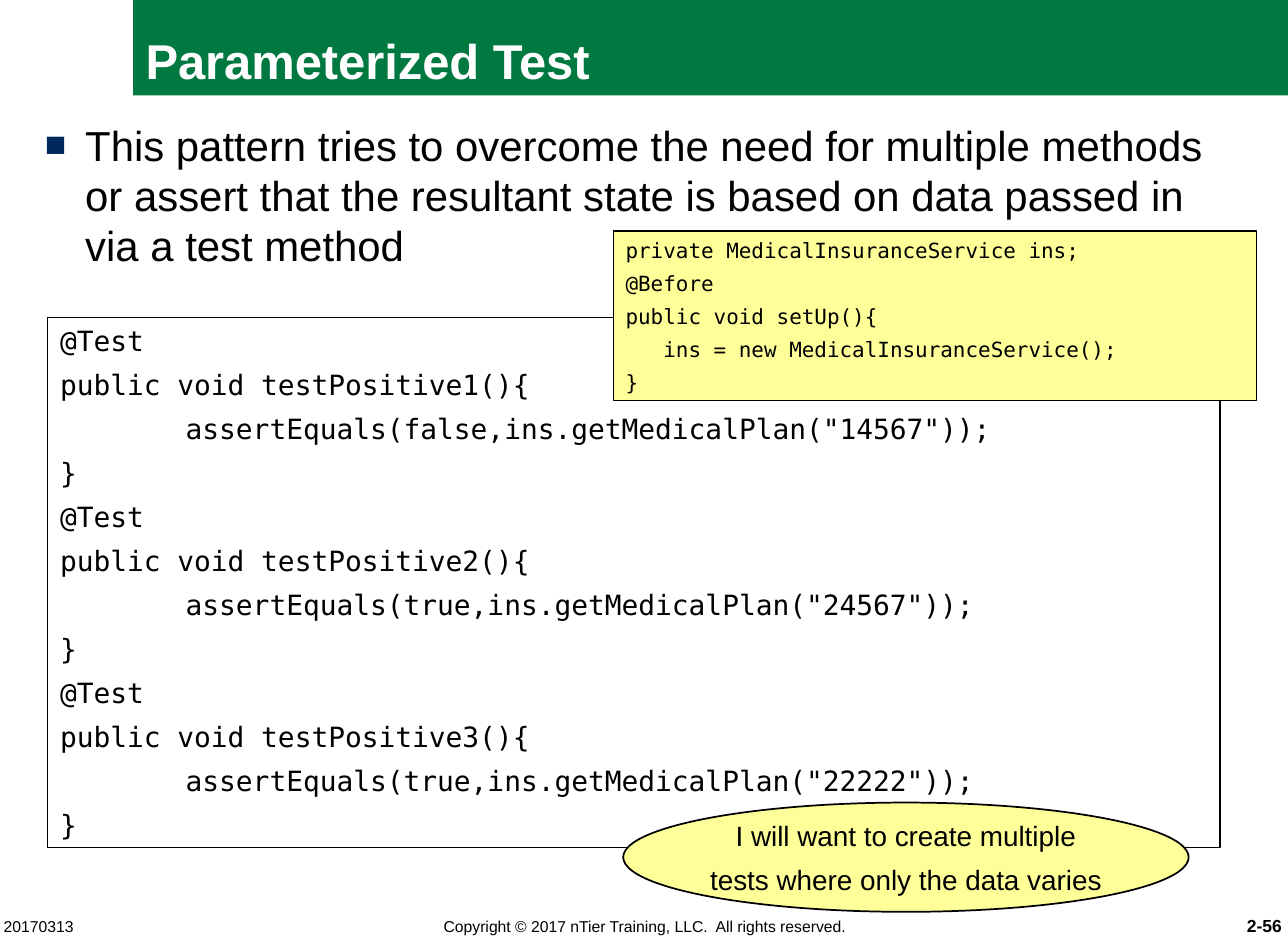
import pptx
import pptx.util
import pptx.dml.color
import pptx.enum.shapes
import pptx.enum.text
import pptx.oxml.ns
import lxml.etree

PX = 9144
SANS = "Arial"
MONO = "DejaVu Sans Mono"
BLACK = pptx.dml.color.RGBColor(0x00, 0x00, 0x00)
WHITE = pptx.dml.color.RGBColor(0xFF, 0xFF, 0xFF)
GREEN = pptx.dml.color.RGBColor(0x00, 0x79, 0x40)
YELLOW = pptx.dml.color.RGBColor(0xFF, 0xFF, 0x99)
NAVY = pptx.dml.color.RGBColor(0x00, 0x29, 0x5B)
SHAPES = pptx.enum.shapes.MSO_SHAPE
ALIGN = pptx.enum.text.PP_ALIGN
ANCHOR = pptx.enum.text.MSO_ANCHOR

TEST_TEMPLATE = """@Test
public void testPositive{}(){{
\tassertEquals({},ins.getMedicalPlan("{}"));
}}"""
TEST_CASES = [(1, "false", "14567"), (2, "true", "24567"), (3, "true", "22222")]
SETUP_CODE = """private MedicalInsuranceService ins;
@Before
public void setUp(){
   ins = new MedicalInsuranceService();
}"""


def add_element(parent, tag, **attributes):
    return lxml.etree.SubElement(parent, pptx.oxml.ns.qn(tag), attributes)


def write_text(shape, text, size, font=SANS, color=BLACK, bold=False, align=ALIGN.LEFT,
               anchor=ANCHOR.TOP, inset=(10, 5), gap=0, wrap=True):
    frame = shape.text_frame
    frame.word_wrap = wrap
    frame.vertical_anchor = anchor
    frame.margin_left = frame.margin_right = inset[0] * PX
    frame.margin_top = frame.margin_bottom = inset[1] * PX
    frame.text = text
    for index, para in enumerate(frame.paragraphs):
        para.alignment = align
        if index:
            para.space_before = pptx.util.Pt(gap)
        for span in para.runs:
            span.font.name = font
            span.font.size = pptx.util.Pt(size)
            span.font.bold = bold
            span.font.color.rgb = color


def add_panel(page, box, kind=SHAPES.RECTANGLE, fill=None, line=None):
    panel = page.shapes.add_shape(kind, *(length * PX for length in box))
    panel.shadow.inherit = False
    if fill is None:
        panel.fill.background()
    else:
        panel.fill.solid()
        panel.fill.fore_color.rgb = fill
    if line is None:
        panel.line.fill.background()
    else:
        panel.line.color.rgb = BLACK
        panel.line.width = pptx.util.Pt(line)
    return panel


def add_label(page, box, text, size, **style):
    label = page.shapes.add_textbox(*(length * PX for length in box))
    write_text(label, text, size, **style)
    return label


def add_title(page, box, text):
    banner = add_panel(page, box, fill=GREEN)
    write_text(banner, text, 28, color=WHITE, bold=True, anchor=ANCHOR.BOTTOM)


def add_bullet(page, box, text):
    label = add_label(page, box, text, 24)
    properties = label.text_frame.paragraphs[0]._p.get_or_add_pPr()
    properties.set("marL", str(32 * PX))
    properties.set("indent", str(-32 * PX))
    bullet_color = add_element(properties, "a:buClr")
    add_element(bullet_color, "a:srgbClr", val=str(NAVY))
    add_element(properties, "a:buSzPct", val="85000")
    add_element(properties, "a:buFont", typeface=SANS)
    add_element(properties, "a:buChar", char="■")


def add_code(page, box, code, size, gap, fill=None):
    panel = add_panel(page, box, fill=fill, line=0.75)
    write_text(panel, code, size, font=MONO, gap=gap)
    for para in panel.text_frame.paragraphs:
        if "\t" in para.text:
            tabs = add_element(para._p.get_or_add_pPr(), "a:tabLst")
            add_element(tabs, "a:tab", pos=str(100 * PX), algn="l")


def add_callout(page, box, text):
    callout = add_panel(page, box, SHAPES.OVAL, YELLOW, 1)
    write_text(callout, text, 16, align=ALIGN.CENTER, anchor=ANCHOR.MIDDLE,
               inset=(0, 0), gap=6, wrap=False)


def add_footer(page, box):
    left, top, width, height = box
    parts = [
        (0, 100, "20170313", 9, False, ALIGN.LEFT),
        (211, 598, "Copyright © 2017 nTier Training, LLC.  All rights reserved.", 9, False,
         ALIGN.CENTER),
        (width - 78, 78, "2-56", 10, True, ALIGN.RIGHT),
    ]
    for offset, part_width, text, size, bold, align in parts:
        add_label(page, (left + offset, top, part_width, height), text, size, bold=bold,
                  align=align, anchor=ANCHOR.BOTTOM, inset=(0, 0))


def main():
    deck = pptx.Presentation()
    deck.slide_width = 1025 * PX
    deck.slide_height = 750 * PX
    page = deck.slides.add_slide(deck.slide_layouts[6])
    add_title(page, (106, 0, 919, 76), "Parameterized Test")
    add_bullet(page, (26, 90, 974, 617),
               "This pattern tries to overcome the need for multiple methods or assert that "
               "the resultant state is based on data passed in via a test method")
    add_footer(page, (3, 720, 1017, 25))
    tests = "\n".join(TEST_TEMPLATE.format(*case) for case in TEST_CASES)
    add_code(page, (38, 253, 933, 422), tests, 16, 6)
    add_callout(page, (496, 639, 450, 87),
                "I will want to create multiple\ntests where only the data varies")
    add_code(page, (488, 184, 512, 135), SETUP_CODE, 12, 4.5, YELLOW)
    deck.save("out.pptx")


if __name__ == "__main__":
    main()
